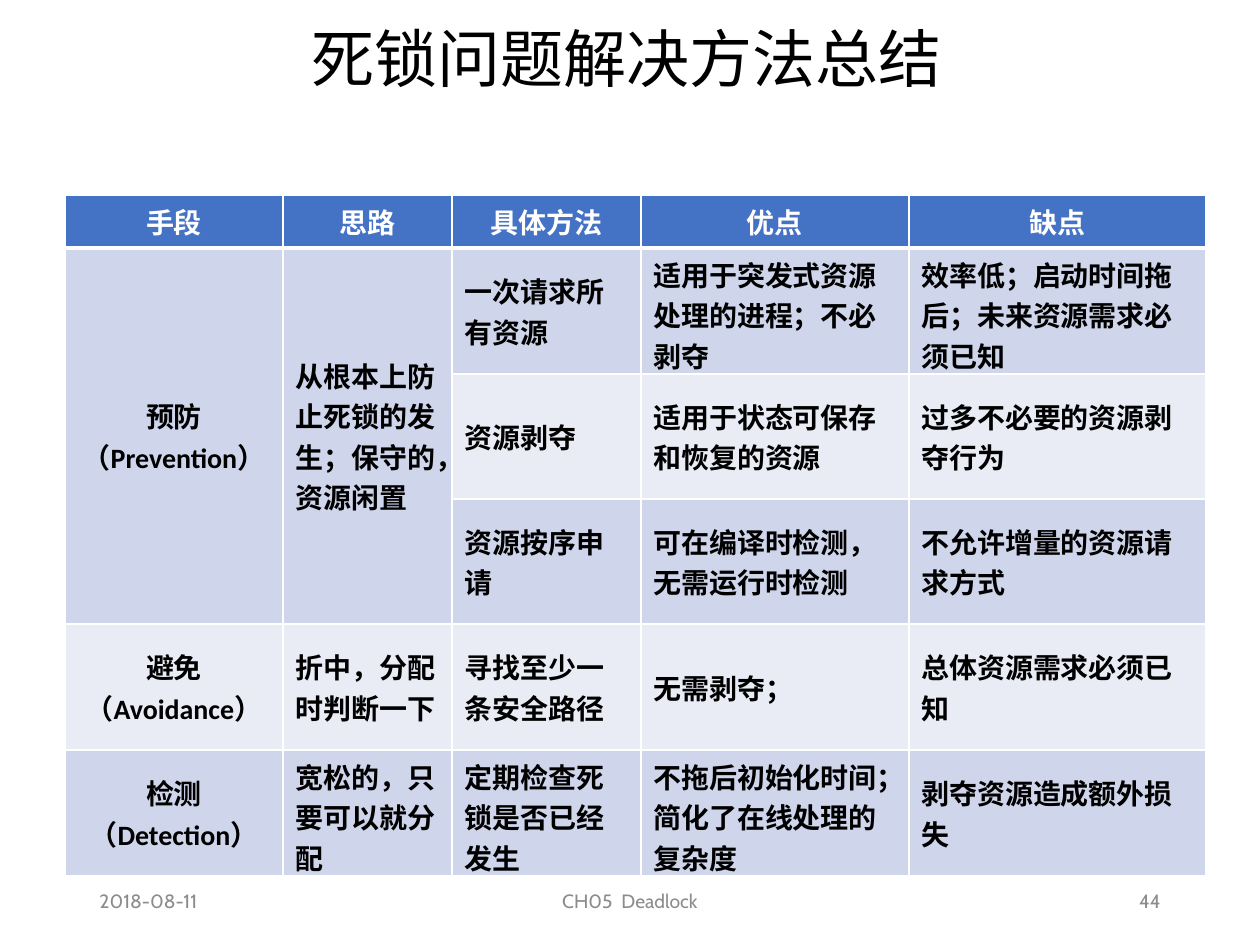
from dataclasses import dataclass
from lxml import etree
from pptx import Presentation
from pptx import util as u
from pptx.dml.color import RGBColor
from pptx.enum import text
from pptx.oxml import ns

PX = 914400 // 126  # EMU per pixel
LEFT, CENTER, RIGHT = text.PP_ALIGN.LEFT, text.PP_ALIGN.CENTER, text.PP_ALIGN.RIGHT


@dataclass(frozen=True)
class Theme:
    cjk: str = "Noto Sans CJK SC"
    body: str = "Calibri"
    footer: str = "Cabin"
    black: str = "000000"
    white: str = "FFFFFF"
    grey: str = "8C8C8C"
    header: str = "4472C4"
    bands: tuple = ("CFD5EA", "E9EBF5")
    title_size: int = 36
    table_size: int = 16
    footer_size: int = 11


THEME = Theme()

HEADINGS = ["手段", "思路", "具体方法", "优点", "缺点"]
# None continues the cell above
METHODS = [
    ["预防\n（Prevention）", "从根本上防止死锁的发生；保守的，资源闲置",
     "一次请求所有资源", "适用于突发式资源处理的进程；不必剥夺",
     "效率低；启动时间拖后；未来资源需求必须已知"],
    [None, None, "资源剥夺", "适用于状态可保存和恢复的资源", "过多不必要的资源剥夺行为"],
    [None, None, "资源按序申请", "可在编译时检测，无需运行时检测", "不允许增量的资源请求方式"],
    ["避免\n（Avoidance）", "折中，分配时判断一下", "寻找至少一条安全路径",
     "无需剥夺；", "总体资源需求必须已知"],
    ["检测\n（Detection）", "宽松的，只要可以就分配", "定期检查死锁是否已经发生",
     "不拖后初始化时间；简化了在线处理的复杂度", "剥夺资源造成额外损失"],
]
COLUMN_WIDTHS = [218, 169, 189, 268, 297]
ROW_HEIGHTS = [53, 126, 125, 125, 126, 126]


def emu(*pixels):
    return [u.Emu(p * PX) for p in pixels]


def write(frame, words, font, size, color, align, bold=False, spacing=None):
    """Fill a text frame, one paragraph for each line of words."""
    frame.word_wrap = True
    for i, line in enumerate(words.split("\n")):
        paragraph = frame.add_paragraph() if i else frame.paragraphs[0]
        paragraph.alignment = align
        if spacing:
            paragraph.line_spacing = spacing
        run = paragraph.add_run()
        run.text = line
        run.font.name, run.font.size, run.font.bold = font, u.Pt(size), bold
        run.font.color.rgb = RGBColor.from_string(color)
        props = run.font._element
        props.set("lang", "zh-CN")
        etree.SubElement(props, ns.qn("a:ea"), typeface=THEME.cjk)


def add_borders(cell, bottom):
    props = cell._tc.get_or_add_tcPr()
    for side, width in zip("LRTB", (1, 1, 1, bottom)):
        line = etree.SubElement(props, ns.qn(f"a:ln{side}"), w=str(u.Pt(width)))
        fill = etree.SubElement(line, ns.qn("a:solidFill"))
        etree.SubElement(fill, ns.qn("a:srgbClr"), val=THEME.white)


def place_title(slide, box, words):
    title = slide.shapes.title
    title.left, title.top, title.width, title.height = emu(*box)
    title.text_frame.vertical_anchor = text.MSO_ANCHOR.MIDDLE
    write(title.text_frame, words, THEME.cjk, THEME.title_size, THEME.black, CENTER,
          spacing=0.9)


def place_methods_table(slide, box):
    rows = [HEADINGS] + METHODS
    table = slide.shapes.add_table(len(rows), len(HEADINGS), *emu(*box)).table
    for column, width in zip(table.columns, emu(*COLUMN_WIDTHS)):
        column.width = width
    for row, height in zip(table.rows, emu(*ROW_HEIGHTS)):
        row.height = height

    for r, row in enumerate(rows):
        is_header = r == 0
        for c, words in enumerate(row):
            cell = table.cell(r, c)
            add_borders(cell, 3 if is_header else 1)
            cell.fill.solid()
            cell.fill.fore_color.rgb = RGBColor.from_string(
                THEME.header if is_header else THEME.bands[(r - 1) % 2])
            cell.vertical_anchor = text.MSO_ANCHOR.MIDDLE
            if words:
                write(cell.text_frame, words, THEME.body, THEME.table_size,
                      THEME.white if is_header else THEME.black,
                      CENTER if is_header or c == 0 else LEFT, bold=True)

    # Prevention and its idea cover three methods
    for c in range(2):
        table.cell(1, c).merge(table.cell(3, c))


def place_footer(slide, box):
    left, top, width, height = box
    side, middle = 284, 426
    parts = [("2018-08-11", left, side, LEFT),
             ("CH05  Deadlock", left + (width - middle) // 2, middle, CENTER),
             ("44", left + width - side, side, RIGHT)]
    for words, x, w, align in parts:
        frame = slide.shapes.add_textbox(*emu(x, top, w, height)).text_frame
        frame.vertical_anchor = text.MSO_ANCHOR.MIDDLE
        write(frame, words, THEME.footer, THEME.footer_size, THEME.grey, align)


deck = Presentation()
deck.slide_width, deck.slide_height = u.Inches(10), u.Inches(7.5)
summary = deck.slides.add_slide(deck.slide_layouts[5])
place_title(summary, (84, 14, 1086, 96), "死锁问题解决方法总结")
place_footer(summary, (87, 876, 1086, 50))
place_methods_table(summary, (65, 195, sum(COLUMN_WIDTHS), sum(ROW_HEIGHTS)))
deck.save("out.pptx")
